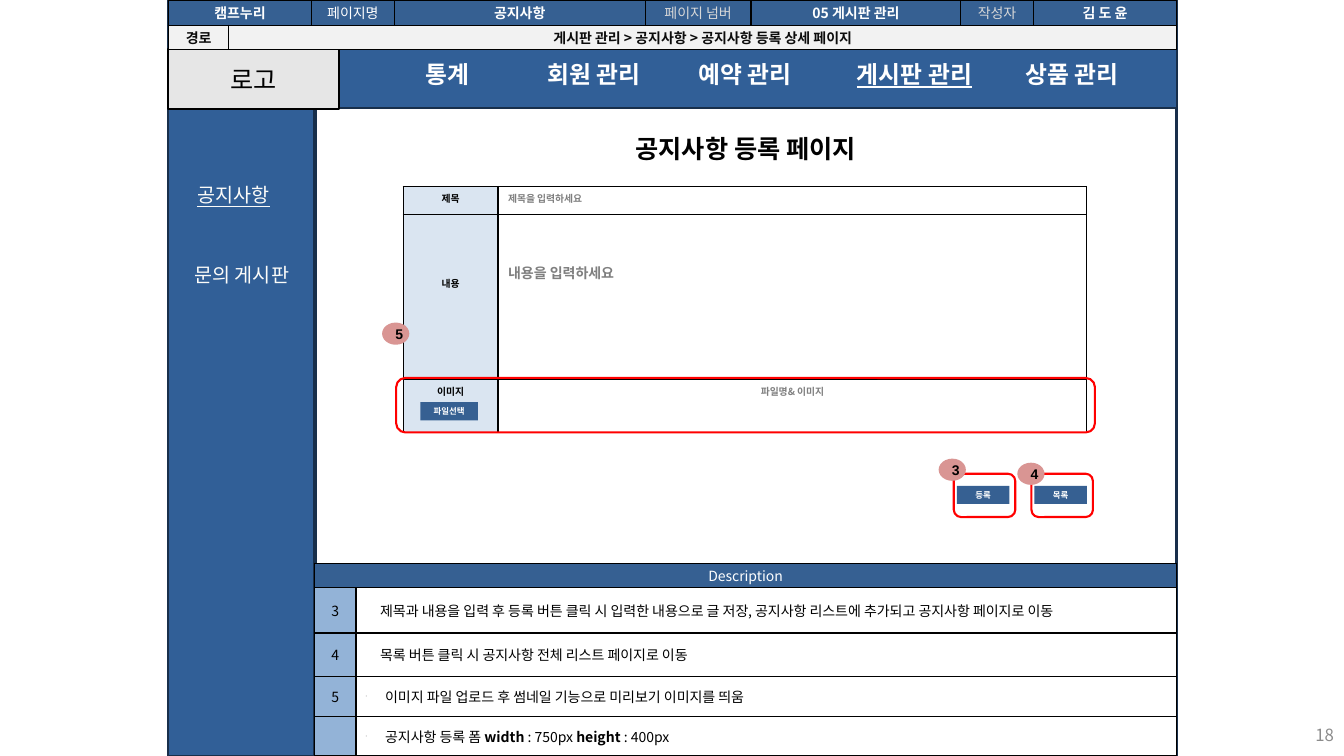
import pptx
import pptx.util
import pptx.dml.color
import pptx.enum.shapes
import pptx.enum.text
import pptx.oxml.ns
import lxml.etree

Inches = pptx.util.Inches
Pt = pptx.util.Pt
qn = pptx.oxml.ns.qn
SHAPE = pptx.enum.shapes.MSO_SHAPE
ALIGN = pptx.enum.text.PP_ALIGN
ANCHOR = pptx.enum.text.MSO_ANCHOR

KOREAN = "Noto Sans CJK KR"
BLUE, TABLE_BLUE, NAVY = "315F97", "366092", "182F4B"
LABEL_BLUE, NUMBER_BLUE, PINK = "DAE5F1", "93B3D7", "D99593"
WHITE, BLACK, GREY, PALE, RED = "FFFFFF", "000000", "7F7F7F", "D8D8D8", "FF0000"

PAGE_TITLE = "공지사항 등록 페이지"
PAGE_NUMBER = "18"
LOGO = "로고"
PANELS = [
    ((1.67, 0, 10, 7.5), None),
    ((1.67, 0, 10, 1.07), BLUE),
    ((1.67, 1.07, 1.46, 6.43), BLUE),
    ((3.12, 1.07, 8.54, 6.43), None),
]
NAVIGATION = [
    ("통계", 4.12, 0.67, False),
    ("회원 관리", 5.33, 1.18, False),
    ("예약 관리", 6.83, 1.19, False),
    ("게시판 관리", 8.4, 1.41, True),
    ("상품 관리", 10.07, 1.18, False),
]
SIDEBAR = [
    ("공지사항", (1.86, 1.77, 0.96, 0.32), True),
    ("문의 게시판", (1.83, 2.56, 1.2, 0.34), False),
]
PAGE_INFO = [
    ("캠프누리", WHITE, True),
    None,
    ("페이지명", WHITE, False),
    ("공지사항", WHITE, True),
    ("페이지 넘버", PALE, False),
    ("05 게시판 관리", WHITE, True),
    ("작성자", PALE, False),
    ("김 도 윤", WHITE, True),
]
ROUTE = ["경로", "게시판 관리 > 공지사항 > 공지사항 등록 상세 페이지"]
FORM = [
    ("제목", 0.05, "제목을 입력하세요", 7, 0.05, ALIGN.LEFT),
    ("내용", 0.61, "내용을 입력하세요", 10, 0.47, ALIGN.LEFT),
    ("이미지", 0.05, "파일명& 이미지", 7, 0.05, ALIGN.CENTER),
]
DESCRIPTION_TITLE = "Description"
DESCRIPTIONS = [
    ("3", [("제목과 내용을 입력 후 등록 버튼 클릭 시 입력한 내용으로 글 저장, "
            "공지사항 리스트에 추가되고 공지사항 페이지로 이동", False)], False),
    ("4", [("목록 버튼 클릭 시 공지사항 전체 리스트 페이지로 이동", False)], False),
    ("5", [("이미지 파일 업로드 후 썸네일 기능으로 미리보기 이미지를 띄움", False)], True),
    ("", [("공지사항 등록 폼 ", False), ("width ", True), (": 750px ", False),
          ("height ", True), (": 400px", False)], True),
]
HIGHLIGHTS = [(9.46, 4.7, 0.61, 0.43), (10.23, 4.7, 0.61, 0.43), (3.93, 3.75, 6.93, 0.54)]
BUTTONS = [
    ("등록", (9.49, 4.82, 0.52, 0.18)),
    ("목록", (10.26, 4.82, 0.52, 0.18)),
    ("파일선택", (4.17, 3.99, 0.57, 0.18)),
]
MARKERS = [("3", 9.31, 4.55), ("4", 10.09, 4.59), ("5", 3.79, 3.2)]


def rgb(value):
    return pptx.dml.color.RGBColor.from_string(value)


def place(box):
    return [Inches(length) for length in box]


def write(frame, runs, size, color, bold=False, align=ALIGN.LEFT, underline=False, face=KOREAN):
    paragraph = frame.paragraphs[0]
    paragraph.alignment = align
    font = paragraph.font
    font.size, font.name, font.underline = Pt(size), face, underline
    font.color.rgb = rgb(color)
    if isinstance(runs, str):
        runs = [(runs, bold)]
    if len(runs) == 1:
        font.bold = runs[0][1]
    for text, weight in runs:
        run = paragraph.add_run()
        run.text = text
        if len(runs) > 1:
            run.font.bold = weight
    defaults = paragraph._p.pPr.find(qn("a:defRPr"))
    lxml.etree.SubElement(defaults, qn("a:ea")).set("typeface", face)
    return paragraph


def draw(kind, box, fill=None, line=None):
    shape = slide.shapes.add_shape(kind, *place(box))
    shape.shadow.inherit = False
    if fill:
        shape.fill.solid()
        shape.fill.fore_color.rgb = rgb(fill)
    else:
        shape.fill.background()
    if line:
        shape.line.color.rgb = rgb(line)
        shape.line.width = Pt(1.5)
    else:
        shape.line.fill.background()
    shape.text_frame.vertical_anchor = ANCHOR.MIDDLE
    return shape


def label(text, box, size, color, **style):
    frame = slide.shapes.add_textbox(*place(box)).text_frame
    frame.word_wrap = False
    write(frame, text, size, color, **style)
    return frame


def grid(left, top, widths, heights):
    box = (left, top, sum(widths), sum(heights))
    table = slide.shapes.add_table(len(heights), len(widths), *place(box)).table
    table.first_row = table.horz_banding = False
    for column, width in zip(table.columns, widths):
        column.width = Inches(width)
    for row, height in zip(table.rows, heights):
        row.height = Inches(height)
    for cell in table.iter_cells():
        properties = cell._tc.get_or_add_tcPr()
        for side in ("a:lnL", "a:lnR", "a:lnT", "a:lnB"):
            border = lxml.etree.SubElement(properties, qn(side), w=str(Pt(1)))
            paint = lxml.etree.SubElement(border, qn("a:solidFill"))
            lxml.etree.SubElement(paint, qn("a:srgbClr"), val=BLACK)
    return table


def fill_cell(cell, runs, fill, size, color, top=0.01, anchor=ANCHOR.MIDDLE, **style):
    cell.margin_left = cell.margin_right = Inches(0.1)
    cell.margin_top, cell.margin_bottom = Inches(top), Inches(0.01)
    cell.vertical_anchor = anchor
    if fill:
        cell.fill.solid()
        cell.fill.fore_color.rgb = rgb(fill)
    else:
        cell.fill.background()
    return write(cell.text_frame, runs, size, color, **style)


def indent_text(paragraph, dashed):
    properties = paragraph._p.pPr
    properties.set("marL", str(Inches(0.19 if dashed else 0.14)))
    properties.set("indent", str(Inches(-0.19 if dashed else 0)))
    if dashed:
        color = lxml.etree.Element(qn("a:buClr"))
        lxml.etree.SubElement(color, qn("a:srgbClr"), val=BLACK)
        scale = lxml.etree.Element(qn("a:buSzPct"), val="25000")
        dash = lxml.etree.Element(qn("a:buChar"), char="-")
        for position, part in enumerate((color, scale, dash)):
            properties.insert(position, part)


deck = pptx.Presentation()
deck.slide_width, deck.slide_height = Inches(13.33), Inches(7.5)
slide = deck.slides.add_slide(deck.slide_layouts[5])

page_title = slide.shapes.title
page_title.left, page_title.top, page_title.width, page_title.height = place((6.06, 1.27, 2.67, 0.39))
page_title.text_frame.auto_size = pptx.enum.text.MSO_AUTO_SIZE.NONE
page_title.text_frame.vertical_anchor = ANCHOR.TOP
write(page_title.text_frame, PAGE_TITLE, 18, BLACK, bold=True, align=ALIGN.CENTER)

for box, fill in PANELS:
    draw(SHAPE.RECTANGLE, box, fill, NAVY)
logo = draw(SHAPE.RECTANGLE, (1.67, 0.49, 1.69, 0.59), "E6E6E6", BLACK)
write(logo.text_frame, LOGO, 18, BLACK, align=ALIGN.CENTER)
for text, left, width, current in NAVIGATION:
    label(text, (left, 0.54, width, 0.39), 17, WHITE, bold=True, underline=current)
for text, box, current in SIDEBAR:
    label(text, box, 14, "FCFCF9", underline=current)

info = grid(1.67, 0, [0.6, 0.82, 0.82, 2.49, 1.05, 2.08, 0.72, 1.42], [0.25, 0.24])
info.cell(0, 0).merge(info.cell(0, 1))
info.cell(1, 1).merge(info.cell(1, 7))
for column, entry in enumerate(PAGE_INFO):
    if entry:
        text, color, bold = entry
        fill_cell(info.cell(0, column), text, TABLE_BLUE, 10, color, bold=bold, align=ALIGN.CENTER)
for column, text in enumerate(ROUTE):
    fill_cell(info.cell(1, column), text, "F2F2F2", 10, "0C0C0C", bold=True, align=ALIGN.CENTER)

form = grid(4, 1.85, [0.94, 5.84], [0.28, 1.63, 0.53])
for row, (name, name_top, hint, size, hint_top, align) in enumerate(FORM):
    fill_cell(form.cell(row, 0), name, LABEL_BLUE, 7, BLACK, name_top, ANCHOR.TOP,
              bold=True, align=ALIGN.CENTER)
    fill_cell(form.cell(row, 1), hint, None, size, GREY, hint_top, ANCHOR.TOP,
              bold=True, align=align)

description = grid(3.12, 5.59, [0.41, 8.14], [0.24, 0.45, 0.43, 0.4, 0.39])
description.cell(0, 0).merge(description.cell(0, 1))
fill_cell(description.cell(0, 0), DESCRIPTION_TITLE, TABLE_BLUE, 10, WHITE, align=ALIGN.CENTER)
for row, (number, runs, dashed) in enumerate(DESCRIPTIONS, 1):
    fill_cell(description.cell(row, 0), number, NUMBER_BLUE, 10, BLACK, align=ALIGN.CENTER)
    indent_text(fill_cell(description.cell(row, 1), runs, WHITE, 10, BLACK), dashed)

for box in HIGHLIGHTS:
    draw(SHAPE.ROUNDED_RECTANGLE, box, line=RED)
for text, box in BUTTONS:
    button = draw(SHAPE.RECTANGLE, box, TABLE_BLUE)
    write(button.text_frame, text, 6, WHITE, bold=True, align=ALIGN.CENTER, face="Arial")
for text, left, top in MARKERS:
    marker = draw(SHAPE.OVAL, (left, top, 0.27, 0.22), PINK)
    write(marker.text_frame, text, 10, BLACK, bold=True, align=ALIGN.CENTER, face="Arial")

number_frame = label(PAGE_NUMBER, (10.22, 7.09, 3.11, 0.4), 12, "8C8C8C", align=ALIGN.RIGHT)
number_frame.word_wrap = True
number_frame.vertical_anchor = ANCHOR.MIDDLE

deck.save("out.pptx")
